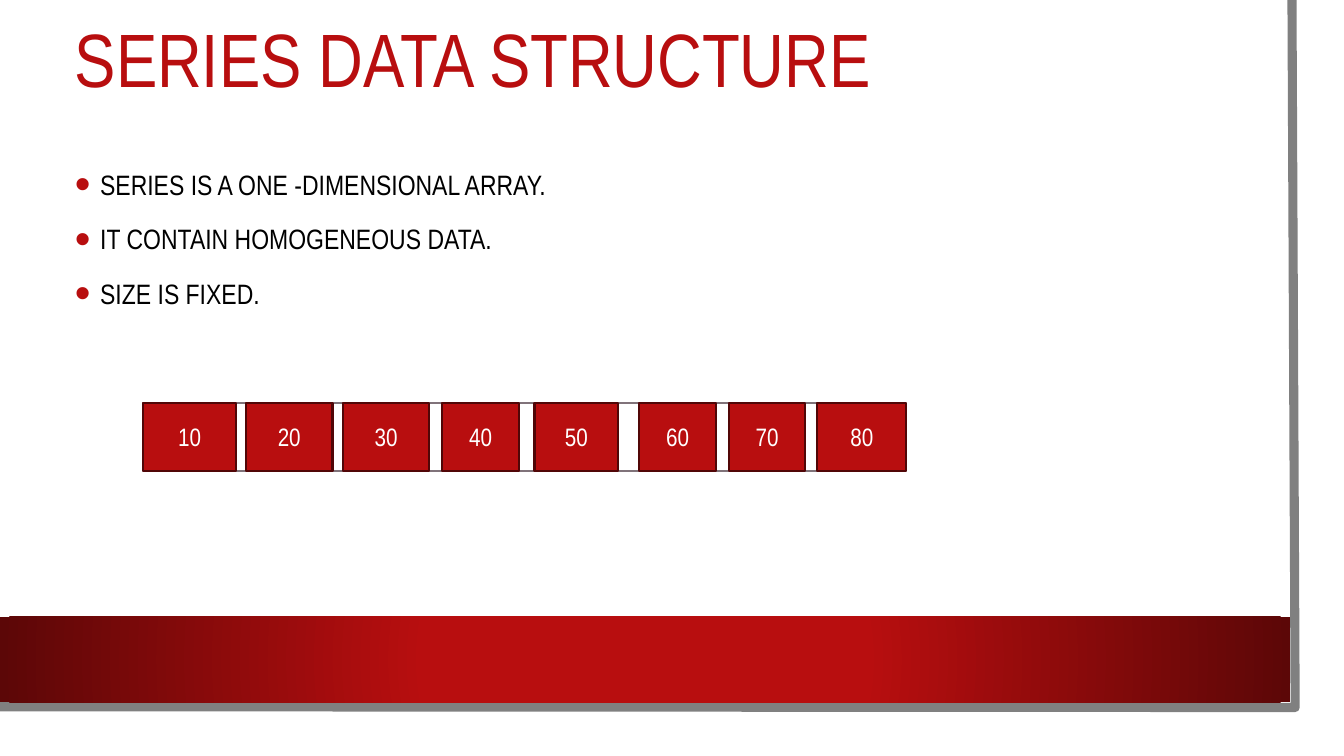
from lxml import etree
from pptx import Presentation
from pptx.dml.color import RGBColor
from pptx.enum.shapes import MSO_SHAPE as Shape
from pptx.enum.text import MSO_ANCHOR as Anchor, MSO_AUTO_SIZE as AutoSize, PP_ALIGN as Align
from pptx.oxml import parse_xml
from pptx.oxml.ns import nsdecls, qn
from pptx.util import Cm, Pt

FONT = "Arial Narrow"
RED, DARK_RED, CELL_EDGE = "B80E0F", "5C0707", "510607"
WHITE, BLACK, GREY, ROW_EDGE = "FFFFFF", "000000", "808080", "80737A"

BULLETS = [
    "SERIES IS A ONE -DIMENSIONAL ARRAY.",
    "IT CONTAIN HOMOGENEOUS DATA.",
    "SIZE IS FIXED.",
]
# Offset from the left of the row and width of each cell, in cm
CELLS = [(0, 2.34), (2.59, 2.18), (5.03, 2.18), (7.54, 1.93),
         (9.86, 2.11), (12.5, 1.93), (14.76, 1.93), (16.99, 2.24)]


def color(hex_text):
    return RGBColor.from_string(hex_text)


def place(shape, box):
    shape.left, shape.top, shape.width, shape.height = (Cm(length) for length in box)


def write(para, text, size, ink, align=Align.LEFT, line=1.0, before=0):
    para.alignment, para.line_spacing, para.space_before = align, line, Pt(before)
    span = para.add_run()
    span.text = text
    span.font.name, span.font.size = FONT, Pt(size)
    span.font.color.rgb = color(ink)


def add_bullet(para):
    properties = para._p.get_or_add_pPr()
    properties.set("marL", str(Cm(0.64)))
    properties.set("indent", str(-Cm(0.64)))
    bullet_color = etree.SubElement(properties, qn("a:buClr"))
    etree.SubElement(bullet_color, qn("a:srgbClr"), val=RED)
    etree.SubElement(properties, qn("a:buSzPct"), val="160000")
    etree.SubElement(properties, qn("a:buFont"), typeface="Arial")
    etree.SubElement(properties, qn("a:buChar"), char="•")


def add_rectangle(page, box, fill, edge=None):
    shape = page.shapes.add_shape(Shape.RECTANGLE, *(Cm(length) for length in box))
    shape.shadow.inherit = False
    shape.fill.solid()
    shape.fill.fore_color.rgb = color(fill)
    if edge:
        shape.line.color.rgb = color(edge)
        shape.line.width = Pt(1.5)
    else:
        shape.line.fill.background()
    return shape


def draw_frame(page, box):
    left, top, width, height = box
    right, bottom = left + width, top + height

    # Grey edge along the right and bottom
    builder = page.shapes.build_freeform(Cm(right - 0.08), Cm(top))
    builder.add_line_segments(
        [(Cm(right), Cm(bottom)), (Cm(left), Cm(bottom - 0.02))], close=False)
    edge = builder.convert_to_shape()
    edge.shadow.inherit = False
    edge.fill.background()
    edge.line.color.rgb = color(GREY)
    edge.line.width = Pt(6.5)

    # Red band that darkens towards its ends
    band = add_rectangle(page, (0, bottom - 2.29, right - 0.13, 2.16), RED)
    gradient = parse_xml(
        f'<a:gradFill {nsdecls("a")} rotWithShape="1"><a:gsLst>'
        f'<a:gs pos="34000"><a:srgbClr val="{RED}"/></a:gs>'
        f'<a:gs pos="100000"><a:srgbClr val="{DARK_RED}"/></a:gs></a:gsLst>'
        '<a:path path="circle"><a:fillToRect l="50000" t="50000" r="50000" b="50000"/>'
        '</a:path></a:gradFill>')
    properties = band._element.spPr
    properties.replace(properties.find(qn("a:solidFill")), gradient)


def prepare_placeholder(holder, box):
    place(holder, box)
    frame = holder.text_frame
    frame.auto_size, frame.word_wrap = AutoSize.NONE, True
    frame.vertical_anchor = Anchor.MIDDLE
    return frame


def fill_title(page, box):
    frame = prepare_placeholder(page.shapes.title, box)
    write(frame.paragraphs[0], "SERIES DATA STRUCTURE", 54, RED, line=0.9)


def fill_body(page, box):
    frame = prepare_placeholder(page.placeholders[1], box)
    for index, text in enumerate(BULLETS):
        para = frame.add_paragraph() if index else frame.paragraphs[0]
        add_bullet(para)
        write(para, text, 20, BLACK, line=1.2, before=10 if index else 0)


def draw_series(page, box):
    left, top, _, height = box
    add_rectangle(page, box, WHITE, ROW_EDGE)
    for number, (offset, width) in enumerate(CELLS, start=1):
        cell = add_rectangle(page, (left + offset, top, width, height), RED, CELL_EDGE)
        cell.text_frame.vertical_anchor = Anchor.MIDDLE
        write(cell.text_frame.paragraphs[0], str(number * 10), 18, WHITE, align=Align.CENTER)


def main():
    deck = Presentation()
    deck.slide_width, deck.slide_height = Cm(33.87), Cm(19.05)
    page = deck.slides.add_slide(deck.slide_layouts[1])
    draw_frame(page, (-0.08, 0, 32.72, 17.83))
    fill_title(page, (1.63, 0, 28.88, 3.2))
    fill_body(page, (1.63, 3.2, 28.88, 5.46))
    draw_series(page, (3.61, 10.16, 19.23, 1.7))
    deck.save("out.pptx")


if __name__ == "__main__":
    main()
